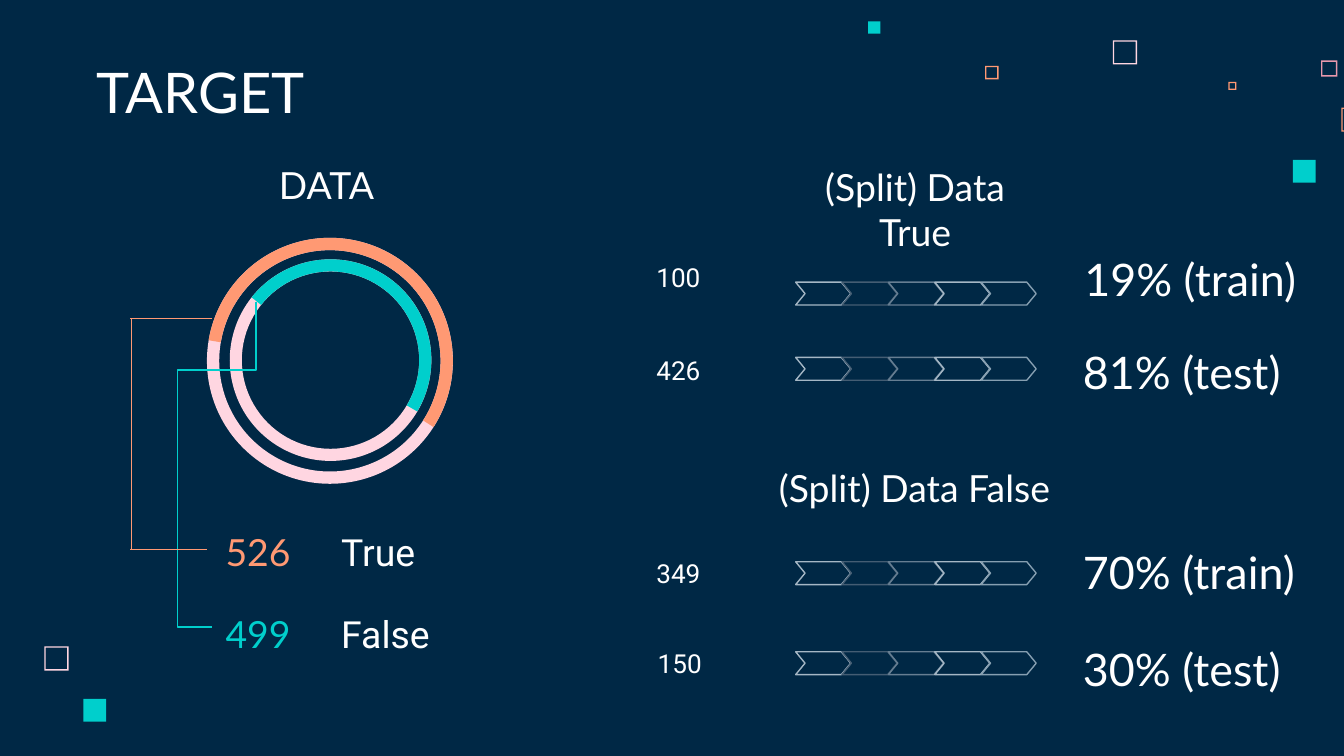
from lxml import etree
from pptx import Presentation
from pptx.dml.color import RGBColor
from pptx.enum.shapes import MSO_CONNECTOR as Link, MSO_SHAPE as Form
from pptx.enum.text import MSO_ANCHOR as Anchor, PP_ALIGN as Align
from pptx.oxml.ns import qn
from pptx.util import Inches, Pt

NAVY = RGBColor(0x00, 0x28, 0x45)
WHITE = RGBColor(0xFF, 0xFF, 0xFF)
PINK = RGBColor(0xFF, 0xD6, 0xE1)
ROSE = RGBColor(0xE8, 0x98, 0xAC)
CORAL = RGBColor(0xFF, 0x99, 0x73)
TEAL = RGBColor(0x00, 0xCF, 0xCC)
PALE = RGBColor(0xA5, 0xB7, 0xC5)
DARK = RGBColor(0x44, 0x5D, 0x73)
SLATE = RGBColor(0x66, 0x7E, 0x92)
STEEL = RGBColor(0x86, 0x9F, 0xB1)

# Widescreen slide, 16 to 9
deck = Presentation()
deck.slide_width = Inches(10)
deck.slide_height = Inches(10) * 9 // 16
slide = deck.slides.add_slide(deck.slide_layouts[6])
slide.background.fill.solid()
slide.background.fill.fore_color.rgb = NAVY


def write(text, x, y, w, h=0.43, size=20, font="Lato", color=WHITE,
          align=Align.LEFT, anchor=Anchor.TOP):
    box = slide.shapes.add_textbox(Inches(x), Inches(y), Inches(w), Inches(h))
    frame = box.text_frame
    frame.word_wrap = True
    frame.vertical_anchor = anchor
    frame.margin_left = frame.margin_right = Inches(0.1)
    frame.margin_top = frame.margin_bottom = Inches(0.1)
    par = frame.paragraphs[0]
    par.alignment = align
    run = par.add_run()
    run.text = text
    run.font.size, run.font.name = Pt(size), font
    run.font.color.rgb = color


def draw(form, x, y, w, h, fill=None, line=None, adjs=(), home=slide):
    shape = home.shapes.add_shape(form, Inches(x), Inches(y), Inches(w), Inches(h))
    shape.shadow.inherit = False
    for i, val in enumerate(adjs):
        shape.adjustments[i] = val
    if fill:
        shape.fill.solid()
        shape.fill.fore_color.rgb = fill
    else:
        shape.fill.background()
    if line:
        shape.line.color.rgb = line
        shape.line.width = Pt(0.75)
    else:
        shape.line.fill.background()


# Scattered squares: hollow, then solid
for x, y, side, edge, color in [
        (8.28, 0.3, 0.18, 0.01, PINK), (9.83, 0.45, 0.12, 0.01, ROSE),
        (9.14, 0.61, 0.06, 0.01, CORAL), (9.98, 0.8, 0.18, 0.01, CORAL),
        (7.33, 0.49, 0.1, 0.01, CORAL), (0.33, 4.81, 0.18, 0.01, PINK)]:
    draw(Form.FRAME, x, y, side, side, color, adjs=[edge / side])
for x, y, side in [(9.62, 1.19, 0.17), (6.46, 0.16, 0.09), (0.62, 5.2, 0.17)]:
    draw(Form.RECTANGLE, x, y, side, side, TEAL)

# Headings
write("TARGET", 0.62, 0.4, 5.17, 0.63, size=30, anchor=Anchor.BOTTOM)
for text, x, y, w in [("DATA", 1.4, 1.11, 2.06), ("(Split) Data True", 5.78, 1.12, 2.06),
                      ("(Split) Data False", 5.62, 3.36, 2.37)]:
    write(text, x, y, w, align=Align.CENTER)

# Rings with their arcs; one degree is 0.6 adjustment units
for x, y, size, thick, start, end, color in [
        (1.54, 1.77, 1.83, 0.05, 189.62, 32.61, CORAL),
        (1.71, 1.93, 1.5, 0.06, 218.49, 30.67, TEAL)]:
    draw(Form.DONUT, x, y, size, size, PINK, adjs=[thick])
    draw(Form.BLOCK_ARC, x, y, size, size, color,
         adjs=[start * 0.6, end * 0.6, thick])

# Legend
for num, name, y, w, color in [("526", "True", 3.84, 1.32, CORAL),
                               ("499", "False", 4.45, 0.92, TEAL)]:
    write(num, 1.58, y, 0.92, color=color)
    write(name, 2.44, y, w, font="Roboto")

# Leader lines from rings to legend
for kind, x1, y1, x2, y2, color in [
        (Link.ELBOW, 0.53, 3.29, 2.95, 3.62, TEAL),
        (Link.STRAIGHT, 0.98, 4.09, 0.98, 2.37, CORAL),
        (Link.STRAIGHT, 1.54, 4.09, 0.97, 4.09, CORAL),
        (Link.STRAIGHT, 1.58, 2.37, 0.97, 2.37, CORAL)]:
    line = slide.shapes.add_connector(kind, Inches(x1), Inches(y1), Inches(x2), Inches(y2))
    line.line.color.rgb = color
    line.line.width = Pt(0.75)
    props = line._element.spPr
    etree.SubElement(props, qn("a:effectLst"))
    if kind == Link.ELBOW:
        # Turn a quarter and bend three times
        props.find(qn("a:xfrm")).set("rot", "5400000")
        geom = props.find(qn("a:prstGeom"))
        geom.set("prst", "bentConnector4")
        bends = geom.find(qn("a:avLst"))
        for name, val in [("adj1", 21000), ("adj2", 176700)]:
            etree.SubElement(bends, qn("a:gd"), name=name, fmla=f"val {val}")

# Split rows: count, chevron bar, share
STEP = 1.38 / 4
for num, share, num_x, num_y, num_w, bar_y, share_x, share_y, share_w in [
        ("100", "19% (train)", 3.99, 1.85, 1.32, 2.1, 7.97, 1.86, 1.83),
        ("426", "81% (test)", 4.39, 2.54, 0.92, 2.66, 7.96, 2.55, 1.67),
        ("349", "70% (train)", 3.99, 4.05, 1.32, 4.18, 7.96, 4.04, 1.84),
        ("150", "30% (test)", 4, 4.72, 1.32, 4.85, 7.96, 4.76, 1.67)]:
    write(num, num_x, num_y, num_w, size=14, font="Roboto",
          align=Align.RIGHT, anchor=Anchor.MIDDLE)
    write(share, share_x, share_y, share_w, size=24, anchor=Anchor.MIDDLE)
    bar = slide.shapes.add_group_shape()
    for i, color in enumerate([PALE, DARK, SLATE, PALE, STEEL]):
        draw(Form.CHEVRON, 5.92 + i * STEP, bar_y, 0.41, 0.17,
             line=color, adjs=[0.41], home=bar)

deck.save("out.pptx")
